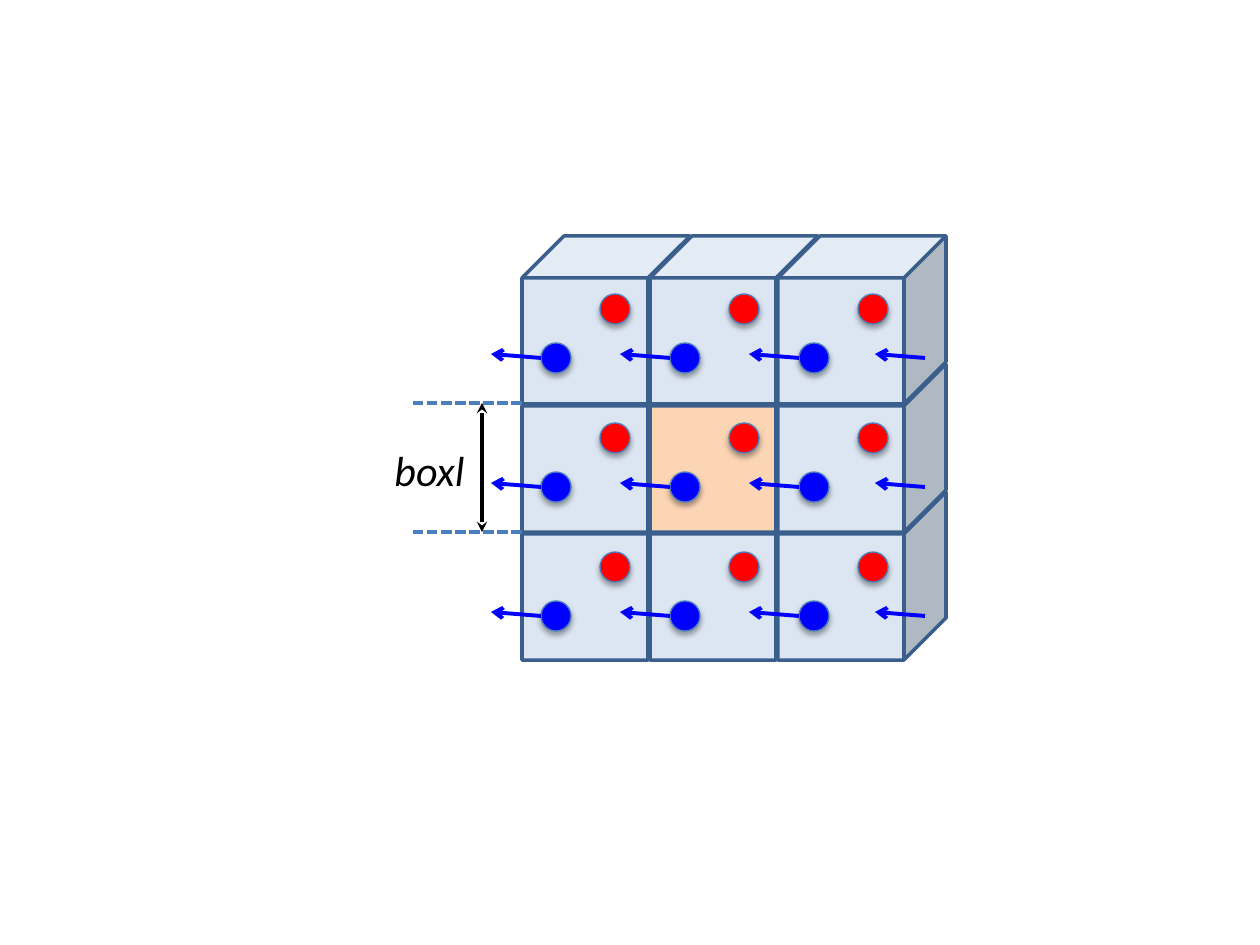
from lxml import etree
from pptx import Presentation
from pptx.dml.color import RGBColor
from pptx.enum.dml import MSO_LINE
from pptx.enum.shapes import MSO_CONNECTOR, MSO_SHAPE
from pptx.oxml.ns import qn
from pptx.util import Inches, Pt

CUBE, OVAL = MSO_SHAPE.CUBE, MSO_SHAPE.OVAL
STRAIGHT = MSO_CONNECTOR.STRAIGHT
SYS_DASH = MSO_LINE.SQUARE_DOT

BLACK = RGBColor(0x00, 0x00, 0x00)
RED = RGBColor(0xFF, 0x00, 0x00)
BLUE = RGBColor(0x00, 0x00, 0xFF)
PALE_BLUE = RGBColor(0xDC, 0xE6, 0xF2)
PEACH = RGBColor(0xFC, 0xD5, 0xB5)
EDGE = RGBColor(0x3A, 0x5F, 0x8C)
STEEL = RGBColor(0x4B, 0x7E, 0xBC)

PX_PER_INCH = 126
CUBE_SIZE, CUBE_PITCH = 168, 128
BALL_SIZE, BALL_PITCH = 30, 129


def px(n):
    return round(n * Inches(1) / PX_PER_INCH)


class Diagram:
    font = "Calibri"

    def __init__(self, slide):
        self.s = slide

    def shape(self, kind, x, y, size, fill, line, width):
        sp = self.s.shapes.add_shape(kind, px(x), px(y), px(size), px(size))
        sp.shadow.inherit = False
        sp.fill.solid()
        sp.fill.fore_color.rgb = fill
        sp.line.color.rgb = line
        sp.line.width = Pt(width)
        return sp

    def cube(self, x, y, fill):
        sp = self.shape(CUBE, x, y, CUBE_SIZE, fill, EDGE, 2)
        sp.adjustments[0] = 0.25

    def ball(self, x, y, fill):
        """Add a circle with a soft shadow below it."""
        sp = self.shape(OVAL, x, y, BALL_SIZE, fill, STEEL, 0.75)
        effects = sp._element.spPr.find(qn("a:effectLst"))
        shadow = etree.SubElement(effects, qn("a:outerShdw"), blurRad=str(Pt(3.1)),
                                  dist=str(Pt(1.8)), dir="5400000", rotWithShape="0")
        color = etree.SubElement(shadow, qn("a:srgbClr"), val=str(BLACK))
        etree.SubElement(color, qn("a:alpha"), val="35000")

    def line(self, x1, y1, x2, y2, color, width=2, dash=None, head=None, tail=None):
        cn = self.s.shapes.add_connector(STRAIGHT, px(x1), px(y1), px(x2), px(y2))
        cn.line.color.rgb = color
        cn.line.width = Pt(width)
        if dash:
            cn.line.dash_style = dash
        ln = cn.line._get_or_add_ln()
        for tag, kind in (("a:headEnd", head), ("a:tailEnd", tail)):
            if kind:
                etree.SubElement(ln, qn(tag), type=kind)
        etree.SubElement(cn._element.spPr, qn("a:effectLst"))

    def label(self, x, y, w, h, text, size):
        tf = self.s.shapes.add_textbox(px(x), px(y), px(w), px(h)).text_frame
        tf.word_wrap = False
        r = tf.paragraphs[0].add_run()
        r.text = text
        r.font.name = self.font
        r.font.size = Pt(size)
        r.font.italic = True
        r.font.color.rgb = BLACK


def main():
    prs = Presentation()
    prs.slide_width, prs.slide_height = Inches(10), Inches(7.5)
    d = Diagram(prs.slides.add_slide(prs.slide_layouts[6]))

    # Bottom row first, so that each cube covers the top face of the one below
    for row in (2, 1, 0):
        for col in range(3):
            fill = PEACH if row == col == 1 else PALE_BLUE
            d.cube(522 + col * CUBE_PITCH, 236 + row * CUBE_PITCH, fill)

    box_top, box_bottom = 403, 532
    for y in (box_top, box_bottom):
        d.line(522, y, 413, y, STEEL, dash=SYS_DASH)
    d.line(482, box_bottom, 482, box_top, BLACK, head="stealth", tail="stealth")
    d.label(382, 438, 110, 63, "boxl", 24)

    for x, y, fill in ((600, 294, RED), (541, 343, BLUE)):
        for row in range(3):
            for col in range(3):
                d.ball(x + col * BALL_PITCH, y + row * BALL_PITCH, fill)

    # One arrow leaves each blue ball; a fourth enters from the right
    for row in range(3):
        y = 358 + row * BALL_PITCH
        for x in (541, 670, 799, 925):
            d.line(x, y, x - 50, y - 4, BLUE, 2.25, tail="arrow")

    prs.save("out.pptx")


if __name__ == "__main__":
    main()
